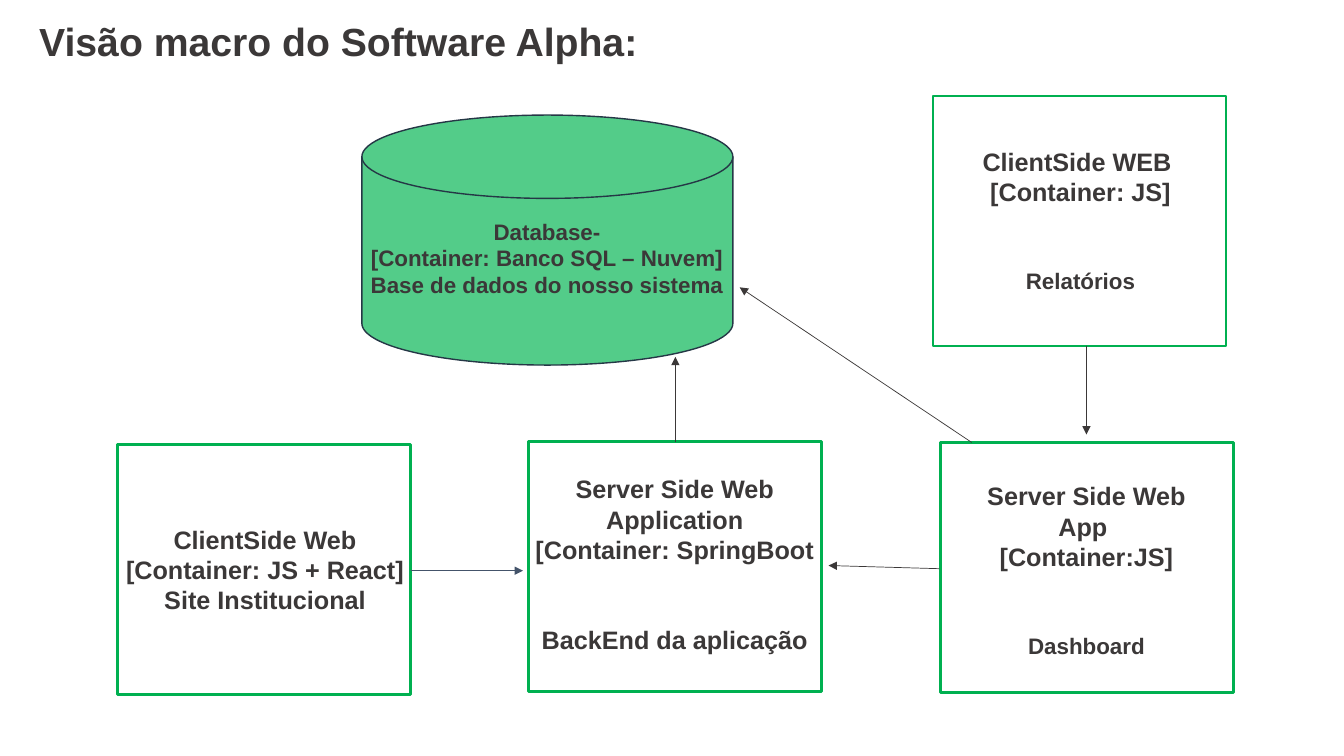
from lxml import etree
from pptx import Presentation
from pptx.dml.color import RGBColor
from pptx.enum import shapes, text
from pptx.oxml import ns
from pptx.util import Cm, Pt

INK, GREEN = "3B3838", "00B050"


def color(value):
    return RGBColor.from_string(value)


def add_text(place, lines):
    """Each line is (wording, size, space before), sizes in points."""
    box = page.shapes.add_textbox(*map(Cm, place))
    frame = box.text_frame
    frame.word_wrap = True
    for index, (wording, size, gap) in enumerate(lines):
        para = frame.add_paragraph() if index else frame.paragraphs[0]
        para.text = wording
        para.alignment = text.PP_ALIGN.CENTER
        para.space_before = Pt(gap)
        font = para.runs[0].font
        font.name, font.size, font.bold = "Arial", Pt(size), True
        font.color.rgb = color(INK)


deck = Presentation()
deck.slide_width, deck.slide_height = Cm(33.87), Cm(19.05)
page = deck.slides.add_slide(deck.slide_layouts[6])

# Title
add_text((0.46, 0.3, 16.13, 1.45), [("Visão macro do Software Alpha:", 28, 0)])

# Database
disk = page.shapes.add_shape(shapes.MSO_SHAPE.FLOWCHART_MAGNETIC_DISK,
                             Cm(9.12), Cm(2.9), Cm(9.35), Cm(6.3))
disk.shadow.inherit = False
disk.fill.solid()
disk.fill.fore_color.rgb = color("53CC89")
disk.line.color.rgb = color("253746")
disk.line.width = Pt(1)
add_text((8.92, 5.36, 9.73, 2.39), [
    ("Database-", 16, 0),
    ("[Container: Banco SQL – Nuvem]", 16, 0),
    ("Base de dados do nosso sistema", 16, 0),
])

# Containers: frame corner, frame line width, text place, text lines
ROLE_GAP = 43  # about two lines of 18 pt
containers = [
    ((23.51, 2.42), 1.5, (24.31, 3.56, 5.84, 4.01),
     [("ClientSide WEB ", 18, 0), ("[Container: JS]", 18, 0),
      ("Relatórios", 16, ROLE_GAP)]),
    ((2.96, 11.2), 2.25, (2.77, 13.08, 7.82, 2.57),
     [("ClientSide Web", 18, 0), ("[Container: JS + React]", 18, 0),
      ("Site Institucional", 18, 0)]),
    ((13.32, 11.13), 2, (13.18, 11.81, 7.65, 4.88),
     [("Server Side Web Application", 18, 0), ("[Container: SpringBoot", 18, 0),
      ("BackEnd da aplicação", 18, ROLE_GAP)]),
    ((23.7, 11.15), 2, (24.08, 11.99, 6.6, 4.78),
     [("Server Side Web App ", 18, 0), ("[Container:JS]", 18, 0),
      ("Dashboard", 16, ROLE_GAP)]),
]
for (left, top), weight, place, lines in containers:
    border = page.shapes.add_shape(shapes.MSO_SHAPE.RECTANGLE,
                                   Cm(left), Cm(top), Cm(7.39), Cm(6.3))
    border.shadow.inherit = False
    border.fill.background()
    border.line.color.rgb = color(GREEN)
    border.line.width = Pt(weight)
    add_text(place, lines)

# Arrows: start, end, colour
arrows = [
    ((17.02, 11.15), (17.02, 8.99), INK),        # back end to database
    ((10.36, 14.38), (13.18, 14.38), "44546A"),  # site to back end
    ((24.49, 11.15), (18.64, 7.24), INK),        # dashboard to database
    ((23.67, 14.33), (20.88, 14.25), INK),       # dashboard to back end
    ((27.38, 8.71), (27.38, 10.95), INK),        # reports to dashboard
]
for start, end, tint in arrows:
    arrow = page.shapes.add_connector(shapes.MSO_CONNECTOR.STRAIGHT,
                                      *map(Cm, start + end))
    arrow.line.color.rgb = color(tint)
    arrow.line.width = Pt(0.5)
    etree.SubElement(arrow.get_or_add_ln(), ns.qn("a:tailEnd"), type="triangle")
    etree.SubElement(arrow.element.spPr, ns.qn("a:effectLst"))

deck.save("out.pptx")
